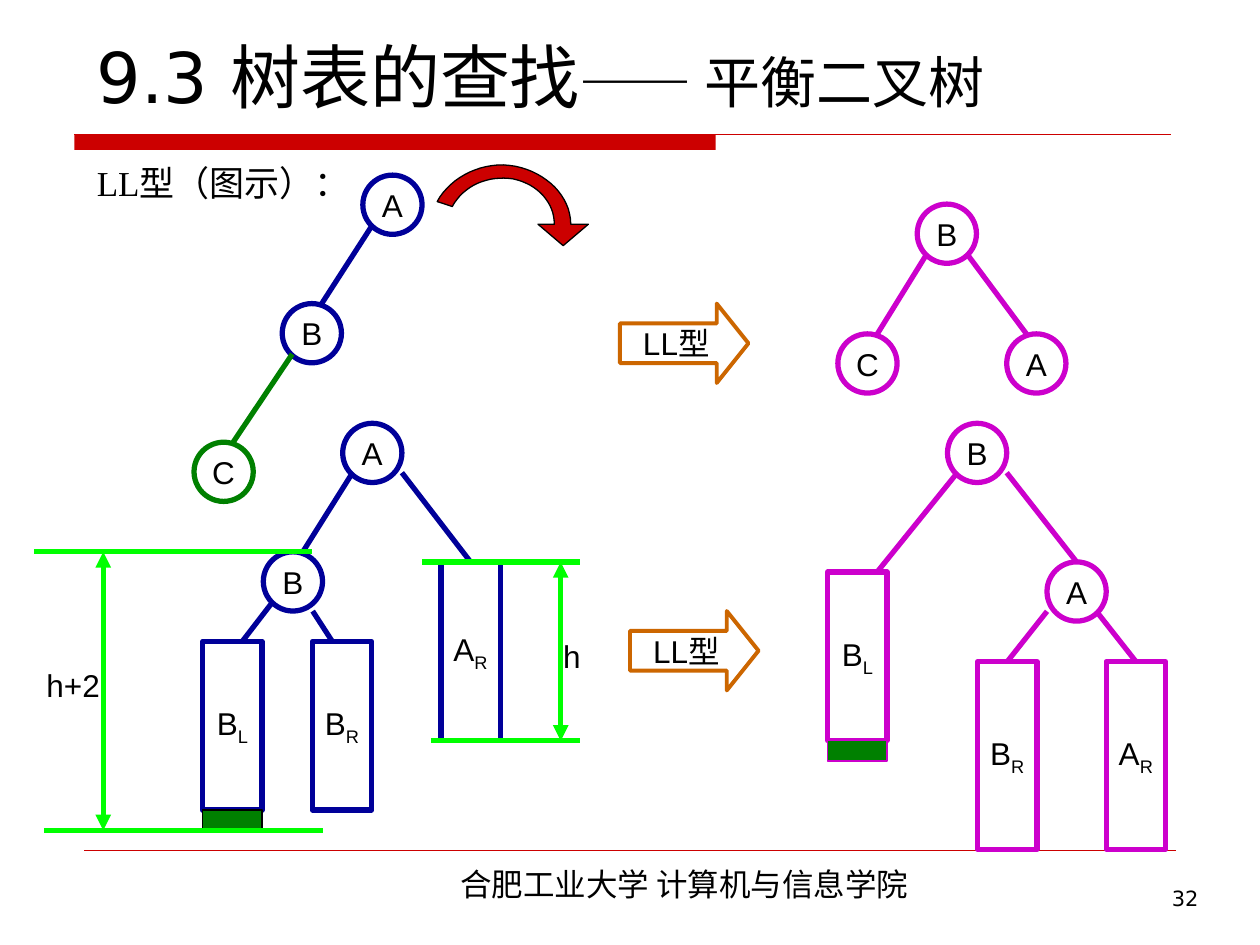
from lxml.etree import SubElement
from pptx import Presentation
from pptx.dml.color import RGBColor
from pptx.enum.shapes import MSO_CONNECTOR, MSO_SHAPE
from pptx.enum.text import MSO_ANCHOR, PP_ALIGN
from pptx.oxml.ns import qn
from pptx.util import Inches, Pt

BLACK = RGBColor(0, 0, 0)
RED = RGBColor(0xCC, 0, 0)
NAVY = RGBColor(0, 0, 0x99)
GREEN = RGBColor(0, 0x80, 0)
LIME = RGBColor(0, 0xFF, 0)
PURPLE = RGBColor(0xCC, 0, 0xCC)
ORANGE = RGBColor(0xCC, 0x66, 0)

CJK_FONT = "Noto Sans CJK SC"
NODE = 0.47
SIXTH = NODE / 6
LEFT = ((1, 5), 4)
RIGHT = ((5, 5), 2)

TREES = [
    {
        "color": NAVY,
        "nodes": {"A": (2.88, 1.39), "B": (2.24, 2.41)},
        "subtrees": {},
        "edges": [("A", "B", LEFT)],
    },
    {
        "color": GREEN,
        "nodes": {"C": (1.54, 3.51)},
        "subtrees": {},
        "edges": [],
    },
    {
        "color": PURPLE,
        "nodes": {"B": (7.28, 1.62), "C": (6.65, 2.65), "A": (7.99, 2.65)},
        "subtrees": {},
        "edges": [("B", "C", LEFT), ("B", "A", RIGHT)],
    },
    {
        "color": NAVY,
        "nodes": {"A": (2.72, 3.36), "B": (2.09, 4.38)},
        "subtrees": {"BL": (1.61, 5.09, 1.34), "BR": (2.48, 5.09, 1.34), "AR": (3.5, 4.46, 1.42)},
        "edges": [
            ("A", "B", LEFT),
            ("B", "BL", LEFT),
            ("B", "BR", ((5, 6), 2)),
            ("A", "AR", ((6, 5), 3)),
        ],
    },
    {
        "color": PURPLE,
        "nodes": {"B": (7.52, 3.36), "A": (8.31, 4.46)},
        "subtrees": {"BL": (6.57, 4.54, 1.34), "BR": (7.76, 5.25, 1.49), "AR": (8.78, 5.25, 1.49)},
        "edges": [
            ("B", "BL", ((1, 5), 5)),
            ("B", "A", ((6, 5), 3)),
            ("A", "BR", ((0, 5), 3)),
            ("A", "AR", ((5, 5), 3)),
        ],
    },
]
INSERTED_LEVELS = [(1.61, 6.43, BLACK), (6.57, 5.88, PURPLE)]
STEP_ARROWS = [(4.92, 2.41), (5, 4.85)]
HEIGHT_LINES = [
    ((0.27, 4.38), (2.48, 4.38), False),
    ((0.35, 6.59), (2.56, 6.59), False),
    ((0.82, 4.38), (0.82, 6.59), True),
    ((3.35, 4.46), (4.6, 4.46), False),
    ((3.42, 5.88), (4.6, 5.88), False),
    ((4.45, 4.46), (4.45, 5.88), True),
]
HEIGHT_LABELS = [("h+2", (0.27, 5.24, 0.79, 0.4)), ("h", (4.37, 5.01, 0.31, 0.4))]

UNITS_PER_INCH = 1000
ROTATION_INNER = [
    ((4.4, 1.78), (4.4, 1.61), (4.27, 1.46), (4.07, 1.42)),
    ((4.07, 1.42), (3.88, 1.39), (3.68, 1.47), (3.59, 1.64)),
]
ROTATION_OUTER = [
    ((3.47, 1.6), (3.58, 1.4), (3.84, 1.27), (4.09, 1.32)),
    ((4.09, 1.32), (4.34, 1.37), (4.53, 1.56), (4.53, 1.78)),
]
ROTATION_HEAD = [(4.67, 1.78), (4.47, 1.95), (4.27, 1.78)]

presentation = Presentation()
presentation.slide_width, presentation.slide_height = Inches(10), Inches(7.5)
slide = presentation.slides.add_slide(presentation.slide_layouts[6])


def write(shape, runs, font="Arial", align=PP_ALIGN.CENTER, anchor=MSO_ANCHOR.MIDDLE, wrap=False):
    frame = shape.text_frame
    frame.word_wrap = wrap
    frame.vertical_anchor = anchor
    paragraph = frame.paragraphs[0]
    paragraph.alignment = align
    for text, size, baseline in runs:
        run = paragraph.add_run()
        run.text = text
        run.font.size = Pt(size)
        run.font.name = font
        run.font.color.rgb = BLACK
        properties = run.font._element
        SubElement(properties, qn("a:ea")).set("typeface", CJK_FONT)
        if baseline:
            properties.set("baseline", str(baseline))


def add_text(box, runs, font="Arial", align=PP_ALIGN.LEFT, anchor=MSO_ANCHOR.TOP):
    shape = slide.shapes.add_textbox(*map(Inches, box))
    write(shape, runs, font, align, anchor, wrap=True)


def paint(shape, line, width, fill=None):
    shape.shadow.inherit = False
    if fill is None:
        shape.fill.background()
    else:
        shape.fill.solid()
        shape.fill.fore_color.rgb = fill
    shape.line.color.rgb = line
    shape.line.width = Pt(width)


def add_outline(kind, box, line, width=3, fill=None):
    shape = slide.shapes.add_shape(kind, *map(Inches, box))
    paint(shape, line, width, fill)
    return shape


def add_line(start, end, color, width=3, arrows=False):
    connector = slide.shapes.add_connector(MSO_CONNECTOR.STRAIGHT, *map(Inches, (*start, *end)))
    connector.line.color.rgb = color
    connector.line.width = Pt(width)
    properties = connector._element.spPr
    SubElement(properties, qn("a:effectLst"))
    if arrows:
        for tag in ("a:headEnd", "a:tailEnd"):
            SubElement(properties.find(qn("a:ln")), qn(tag)).set("type", "triangle")


def curve_points(curve, steps=16):
    for step in range(steps + 1):
        t = step / steps
        weights = ((1 - t) ** 3, 3 * t * (1 - t) ** 2, 3 * t * t * (1 - t), t ** 3)
        yield tuple(sum(w * point[axis] for w, point in zip(weights, curve)) for axis in (0, 1))


def add_tree(color, nodes, subtrees, edges):
    for parent, child, ((column, row), child_column) in edges:
        x, y = nodes[parent]
        child_x, child_y = (nodes.get(child) or subtrees[child])[:2]
        add_line(
            (x + column * SIXTH, y + row * SIXTH),
            (child_x + child_column * SIXTH, child_y),
            color,
        )
    for name, (x, y) in nodes.items():
        write(add_outline(MSO_SHAPE.OVAL, (x, y, NODE, NODE), color), [(name, 18, 0)])
    for name, (x, y, height) in subtrees.items():
        shape = add_outline(MSO_SHAPE.RECTANGLE, (x, y, NODE, height), color)
        write(shape, [(name[0], 18, 0), (name[1], 18, -25000)])


add_outline(MSO_SHAPE.RECTANGLE, (0.59, 1.07, 5.09, 0.12), RED, 0.75, RED).line.fill.background()
add_line((0.59, 1.07), (9.29, 1.07), RED, 0.75)
add_line((0.67, 6.75), (9.33, 6.75), RED, 0.25)
add_text((2.4, 6.82, 6.06, 0.4), [("合肥工业大学 计算机与信息学院", 18, 0)], CJK_FONT, PP_ALIGN.CENTER)
add_text(
    (0.67, -0.35, 8.75, 1.33),
    [("9.3 树表的查找", 40, 0), ("—— 平衡二叉树", 32, 0)],
    "DejaVu Sans",
    anchor=MSO_ANCHOR.BOTTOM,
)
add_text((0.67, 1.23, 8.74, 5.59), [("LL型（图示）：", 20, 0)], "Times New Roman")

for tree in TREES:
    add_tree(**tree)
add_line((2.32, 2.81), (1.85, 3.51), GREEN)

for x, y, line in INSERTED_LEVELS:
    add_outline(MSO_SHAPE.RECTANGLE, (x, y, NODE, 0.16), line, 0.75, GREEN)

for x, y in STEP_ARROWS:
    arrow = add_outline(MSO_SHAPE.RIGHT_ARROW, (x, y, 1.02, 0.63), ORANGE, 2.25)
    arrow.adjustments[1] = 0.4
    write(arrow, [("LL型", 18, 0)])

rotation = [point for curve in ROTATION_INNER + ROTATION_OUTER for point in curve_points(curve)]
outline = [(x * UNITS_PER_INCH, y * UNITS_PER_INCH) for x, y in rotation + ROTATION_HEAD]
builder = slide.shapes.build_freeform(*outline[0], scale=Inches(1) / UNITS_PER_INCH)
builder.add_line_segments(outline[1:])
paint(builder.convert_to_shape(), BLACK, 0.75, RED)

for start, end, arrows in HEIGHT_LINES:
    add_line(start, end, LIME, arrows=arrows)
for label, box in HEIGHT_LABELS:
    add_text(box, [(label, 18, 0)])

add_text((7.44, 6.98, 2.17, 0.52), [("32", 12, 0)], "DejaVu Sans", PP_ALIGN.RIGHT)

presentation.save("out.pptx")
